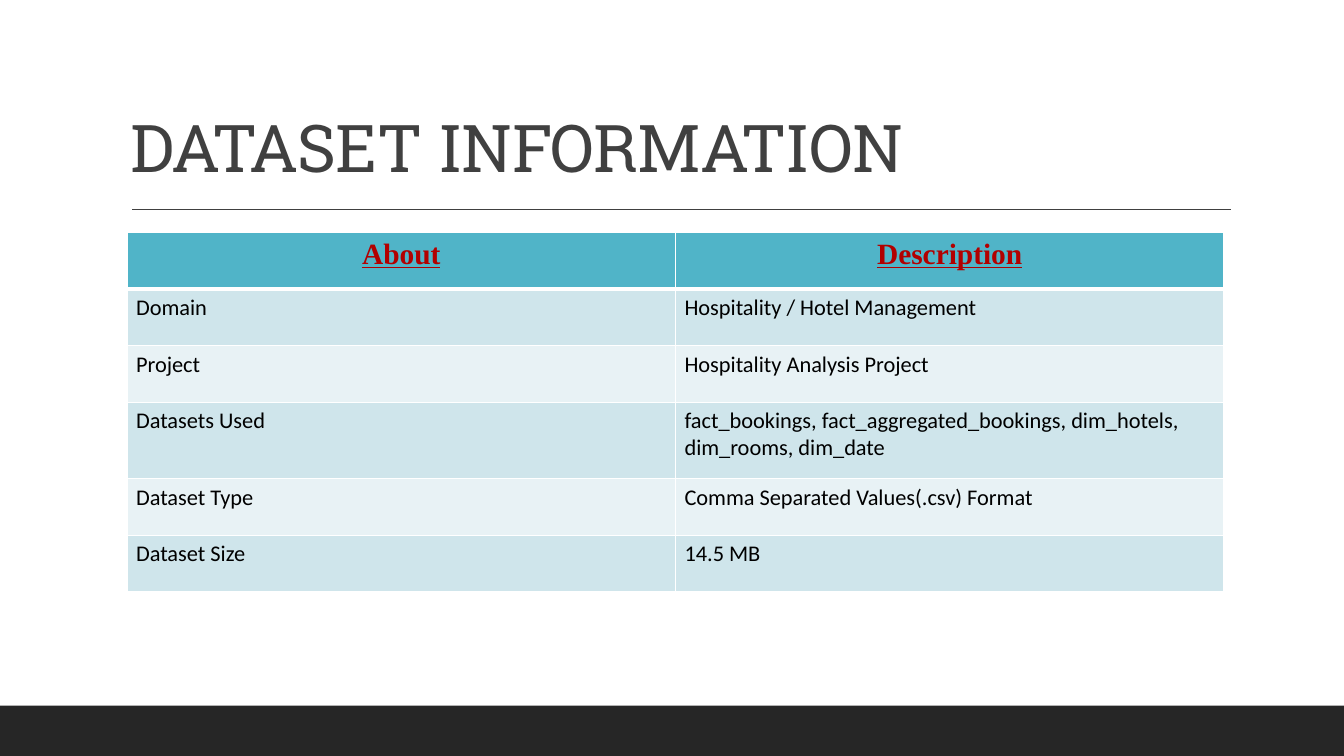
import pptx
import pptx.dml.color
import pptx.enum.shapes
import pptx.enum.text
import pptx.oxml
import pptx.oxml.ns
import pptx.util
from lxml import etree

Inches = pptx.util.Inches
Pt = pptx.util.Pt
ALIGN = pptx.enum.text.PP_ALIGN

DATASET_ROWS = [
    ("About", "Description"),
    ("Domain", "Hospitality / Hotel Management"),
    ("Project", "Hospitality Analysis Project"),
    ("Datasets Used", "fact_bookings, fact_aggregated_bookings, dim_hotels,\ndim_rooms, dim_date"),
    ("Dataset Type", "Comma Separated Values(.csv) Format"),
    ("Dataset Size", "14.5 MB"),
]
HEADER_FILL = "50B4C8"
BAND_FILLS = ("E8F2F5", "CFE5EB")
HEADER_FORMAT = dict(size=21, font="Times New Roman", color="B20000",
                     bold=True, underline=True, align=ALIGN.CENTER)
BODY_FORMAT = dict(size=16, font="Calibri", color="000000")


def rgb(value):
    return pptx.dml.color.RGBColor.from_string(value)


def write_text(frame, text, size, font, color, bold=False, underline=False,
               align=ALIGN.LEFT, line_spacing=None, tracking=None):
    frame.word_wrap = True
    for index, line in enumerate(text.split("\n")):
        paragraph = frame.add_paragraph() if index else frame.paragraphs[0]
        paragraph.alignment = align
        paragraph.line_spacing = line_spacing
        run = paragraph.add_run()
        run.text = line
        run.font.size = Pt(size)
        run.font.name = font
        run.font.bold = bold
        run.font.underline = underline
        run.font.color.rgb = rgb(color)
        if tracking is not None:
            run.font._element.set("spc", str(round(tracking * 100)))


def add_footer_band(slide, left, top, width, height):
    band = slide.shapes.add_shape(pptx.enum.shapes.MSO_SHAPE.RECTANGLE,
                                  Inches(left), Inches(top), Inches(width), Inches(height))
    band.shadow.inherit = False
    band.fill.solid()
    band.fill.fore_color.rgb = rgb("262626")
    band.line.fill.background()


def add_heading(slide, left, top, width, height):
    rule_left, rule_top = left + 0.11, top + height + 0.18
    rule = slide.shapes.add_connector(pptx.enum.shapes.MSO_CONNECTOR.STRAIGHT,
                                      Inches(rule_left), Inches(rule_top),
                                      Inches(rule_left + 10.9), Inches(rule_top))
    rule.line.color.rgb = rgb("404040")
    rule.line.width = Pt(1)
    etree.SubElement(rule._element.spPr, pptx.oxml.ns.qn("a:effectLst"))

    heading = slide.shapes.add_textbox(Inches(left), Inches(top), Inches(width), Inches(height))
    heading.text_frame.vertical_anchor = pptx.enum.text.MSO_ANCHOR.BOTTOM
    write_text(heading.text_frame, "DATASET INFORMATION", size=47, font="Roboto Slab",
               color="404040", line_spacing=0.9, tracking=-0.5)


def set_borders(cell, **widths):
    for side in ("L", "R", "T", "B"):
        cell._tc.get_or_add_tcPr().append(pptx.oxml.parse_xml(
            f'<a:ln{side} {pptx.oxml.ns.nsdecls("a")} w="{Pt(widths.get(side, 1))}">'
            '<a:solidFill><a:srgbClr val="FFFFFF"/></a:solidFill>'
            f'</a:ln{side}>'))


def add_dataset_table(slide, left, top, width, height):
    row_count, column_count = len(DATASET_ROWS), len(DATASET_ROWS[0])
    two_line_extra = 0.2
    row_height = (height - two_line_extra) / row_count
    table = slide.shapes.add_table(row_count, column_count, Inches(left), Inches(top),
                                   Inches(width), Inches(height)).table
    for column in table.columns:
        column.width = Inches(width / column_count)
    for row, entries in enumerate(DATASET_ROWS):
        two_lines = any("\n" in entry for entry in entries)
        table.rows[row].height = Inches(row_height + two_line_extra * two_lines)
        for column, entry in enumerate(entries):
            cell = table.cell(row, column)
            set_borders(cell, T=3 if row == 1 else 1, B=3 if row == 0 else 1)
            cell.fill.solid()
            cell.fill.fore_color.rgb = rgb(BAND_FILLS[row % 2] if row else HEADER_FILL)
            cell.margin_left = cell.margin_right = Inches(0.09)
            cell.margin_top = cell.margin_bottom = Inches(0.05)
            write_text(cell.text_frame, entry, **(BODY_FORMAT if row else HEADER_FORMAT))


def main():
    presentation = pptx.Presentation()
    presentation.slide_width = Inches(13.33)
    presentation.slide_height = Inches(7.5)
    slide = presentation.slides.add_slide(presentation.slide_layouts[6])
    add_footer_band(slide, 0, 7, 13.33, 0.5)
    add_heading(slide, 1.2, 0.31, 11, 1.59)
    add_dataset_table(slide, 1.26, 2.31, 10.88, 3.56)
    presentation.save("out.pptx")


if __name__ == "__main__":
    main()
